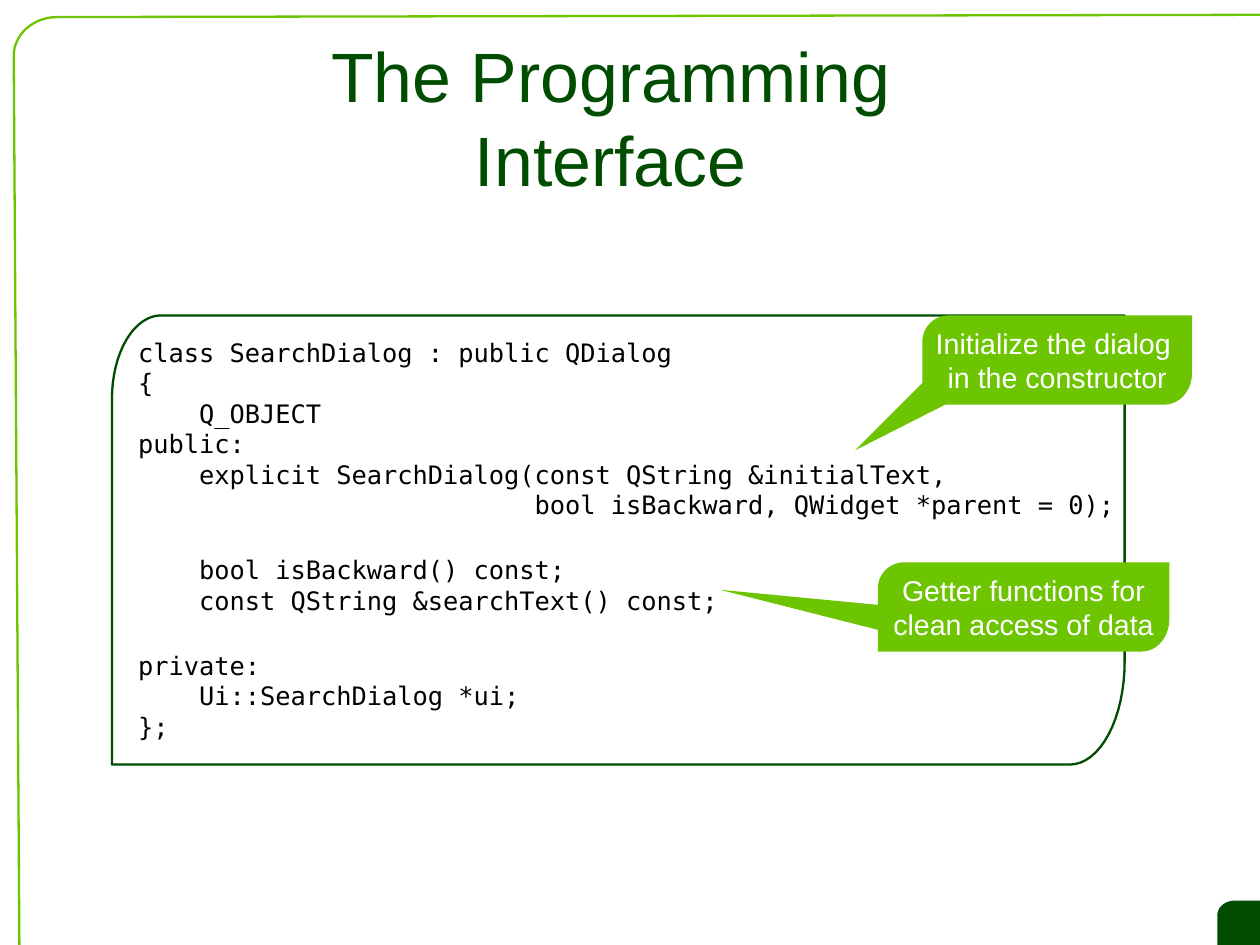
import math
import pptx
import pptx.util
import pptx.dml.color
import pptx.enum.text

Inches = pptx.util.Inches
Pt = pptx.util.Pt
ALIGN = pptx.enum.text.PP_ALIGN
ANCHOR = pptx.enum.text.MSO_ANCHOR

THEME = {
    "dark": "004C00", "bright": "6DC400", "code": "000000", "light": "FFFFFF",
    "sans": "Arial", "mono": "DejaVu Sans Mono",
    "title_size": 44, "code_size": 16, "callout_size": 18,
    "line_width": 1.45, "code_gap": 21.7,
}

CM_PER_INCH = 2.54
SIZE = (28 / CM_PER_INCH, 21 / CM_PER_INCH)
TITLE = "The Programming Interface"
CODE = [
    [
        "class SearchDialog : public QDialog",
        "{",
        "    Q_OBJECT",
        "public:",
        "    explicit SearchDialog(const QString &initialText,",
        "                          bool isBackward, QWidget *parent = 0);",
    ],
    [
        "    bool isBackward() const;",
        "    const QString &searchText() const;",
    ],
    [
        "private:",
        "    Ui::SearchDialog *ui;",
        "};",
    ],
]
CALLOUTS = [
    {"lines": ["Initialize the dialog ", "in the constructor"],
     "box": (8.07, 2.76, 2.36, 0.78),
     "tail": [(8.07, 3.35), (7.48, 3.94), (8.27, 3.54)]},
    {"lines": ["Getter functions for", "clean access of data"],
     "box": (7.68, 4.92, 2.55, 0.78),
     "tail": [(7.87, 5.31), (6.3, 5.16), (7.68, 5.51)]},
]
CODE_BOX = (0.98, 2.76, 8.86, 3.93)
CORNER_BOX = (10.65, 7.88, SIZE[0] - 10.65, SIZE[1] - 7.88)


def color(name):
    return pptx.dml.color.RGBColor.from_string(THEME[name])


def arc(cx, cy, rx, ry, start, steps=16):
    angles = [math.radians(start + 90 * i / steps) for i in range(steps + 1)]
    return [(cx + rx * math.cos(a), cy + ry * math.sin(a)) for a in angles]


def leaf(box, top_left, bottom_right=None):
    x, y, w, h = box
    rx, ry = top_left
    points = arc(x + rx, y + ry, rx, ry, 180) + [(x + w, y)]
    if bottom_right:
        rx, ry = bottom_right
        points += arc(x + w - rx, y + h - ry, rx, ry, 0)
    else:
        points.append((x + w, y + h))
    return points + [(x, y + h)]


def outline(s, points, fill=None, line=None, close=True):
    pts = [(Inches(x), Inches(y)) for x, y in points]
    builder = s.shapes.build_freeform(*pts[0])
    builder.add_line_segments(pts[1:], close=close)
    sp = builder.convert_to_shape()
    sp.shadow.inherit = False
    if fill:
        sp.fill.solid()
        sp.fill.fore_color.rgb = color(fill)
    else:
        sp.fill.background()
    if line:
        sp.line.color.rgb = color(line)
        sp.line.width = Pt(THEME["line_width"])
    else:
        sp.line.fill.background()
    return sp


def write(sp, blocks, font, size, ink, align, anchor, margins, wrap=True):
    tf = sp.text_frame
    mx, my = (Inches(m) for m in margins)
    frame = {"word_wrap": wrap, "vertical_anchor": anchor,
             "margin_left": mx, "margin_right": mx,
             "margin_top": my, "margin_bottom": my}
    for name, value in frame.items():
        setattr(tf, name, value)
    lines = [(text, b > 0 and i == 0)
             for b, block in enumerate(blocks) for i, text in enumerate(block)]
    for n, (text, gap) in enumerate(lines):
        p = tf.paragraphs[0] if n == 0 else tf.add_paragraph()
        p.alignment = align
        if gap:
            p.space_before = Pt(THEME["code_gap"])
        r = p.add_run()
        r.text = text
        for name, value in {"name": THEME[font], "size": Pt(THEME[size])}.items():
            setattr(r.font, name, value)
        r.font.color.rgb = color(ink)


def textbox(s, *box):
    return s.shapes.add_textbox(*(Inches(v) for v in box))


def main():
    prs = pptx.Presentation()
    prs.slide_width, prs.slide_height = (Inches(v) for v in SIZE)
    s = prs.slides.add_slide(prs.slide_layouts[6])

    outline(s, leaf(CORNER_BOX, (0.15, 0.13)), fill="dark")
    frame = [(0.17, SIZE[1])] + arc(0.5, 0.49, 0.38, 0.34, 180) + [(SIZE[0], 0.13)]
    outline(s, frame, line="bright", close=False)

    write(textbox(s, 1.76, 0.33, 7.17, 1.38), [[TITLE]], "sans", "title_size",
          "dark", ALIGN.CENTER, ANCHOR.MIDDLE, (0, 0))
    write(textbox(s, 1.11, 2.9, 8.74, 3.5), CODE, "mono", "code_size",
          "code", ALIGN.LEFT, ANCHOR.TOP, (0.1, 0.05), wrap=False)
    outline(s, leaf(CODE_BOX, (0.43, 0.73), (0.48, 0.9)), line="dark")

    for callout in CALLOUTS:
        outline(s, callout["tail"], fill="bright")
        sp = outline(s, leaf(callout["box"], (0.23, 0.23), (0.24, 0.28)), fill="bright")
        write(sp, [callout["lines"]], "sans", "callout_size",
              "light", ALIGN.CENTER, ANCHOR.MIDDLE, (0.11, 0.06))

    prs.save("out.pptx")


if __name__ == "__main__":
    main()
